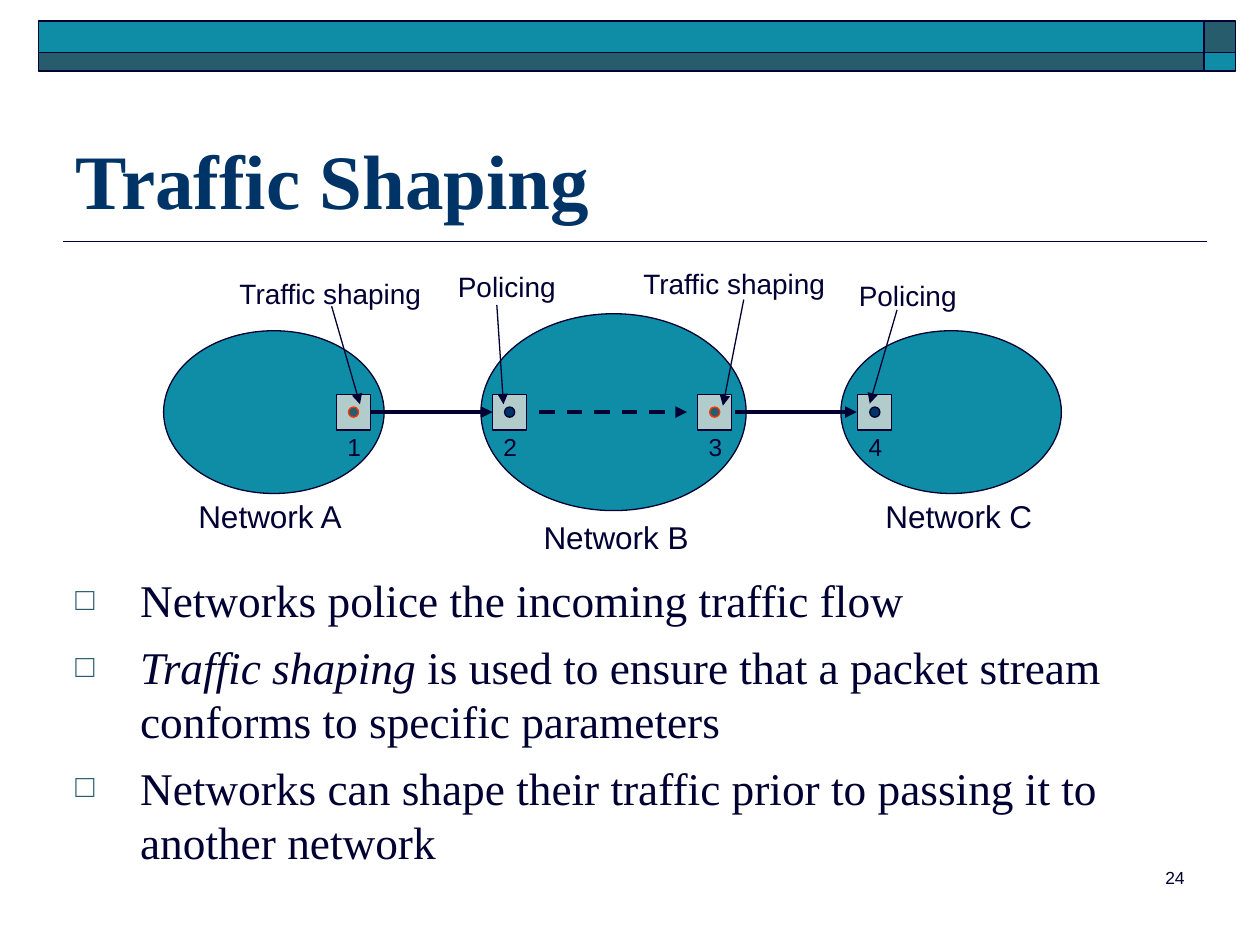
from pptx import Presentation
from pptx.dml.color import RGBColor
from pptx.enum.dml import MSO_LINE
from pptx.enum.shapes import MSO_CONNECTOR, MSO_SHAPE
from pptx.enum.text import MSO_ANCHOR, PP_ALIGN
from pptx.oxml.ns import qn
from pptx.util import Pt
from lxml.etree import SubElement

INK = RGBColor(0x00, 0x00, 0x33)
NAVY = RGBColor(0x00, 0x33, 0x66)
TEAL = RGBColor(0x10, 0x8D, 0xA6)
SLATE = RGBColor(0x27, 0x5C, 0x6D)
MIST = RGBColor(0xB1, 0xCC, 0xCB)
RED = RGBColor(0xFF, 0x33, 0x00)

TITLE_FONT = {"name": "Times New Roman", "size": Pt(44), "bold": True}
BODY_FONT = {"name": "Times New Roman", "size": Pt(25.9)}
LABEL_FONT = {"name": "Arial"}


class SlideBuilder:
    """Draws styled elements on one slide; all lengths are in points."""

    def __init__(self, slide):
        self.shapes = slide.shapes

    def shape(self, kind, left, top, width, height, fill, line=INK, weight=0.75):
        shape = self.shapes.add_shape(kind, Pt(left), Pt(top), Pt(width), Pt(height))
        shape.shadow.inherit = False
        shape.fill.solid()
        shape.fill.fore_color.rgb = fill
        shape.line.color.rgb = line
        shape.line.width = Pt(weight)

    def line(self, start, end, weight=0.75, arrow=True, dash=None):
        line = self.shapes.add_connector(
            MSO_CONNECTOR.STRAIGHT, *(Pt(value) for value in (*start, *end)))
        line.line.color.rgb = INK
        line.line.width = Pt(weight)
        if dash:
            line.line.dash_style = dash
        if arrow:
            SubElement(line.line._get_or_add_ln(), qn("a:tailEnd"), type="triangle")
        SubElement(line._element.spPr, qn("a:effectLst"))

    def frame(self, left, top, width, height, anchor=MSO_ANCHOR.TOP, wrap=True):
        box = self.shapes.add_textbox(Pt(left), Pt(top), Pt(width), Pt(height))
        frame = box.text_frame
        frame.word_wrap = wrap
        frame.vertical_anchor = anchor
        return frame

    def span(self, para, text, style, color=INK):
        span = para.add_run()
        span.text = text
        for name, value in style.items():
            setattr(span.font, name, value)
        span.font.color.rgb = color

    def title(self, text, left, top, width, height):
        frame = self.frame(left, top, width, height, MSO_ANCHOR.BOTTOM)
        self.span(frame.paragraphs[0], text, TITLE_FONT, NAVY)

    def label(self, text, center, top, size, width, height):
        """Puts one unwrapped line of text around a centre."""
        frame = self.frame(center - width / 2, top, width, height,
                           MSO_ANCHOR.MIDDLE, wrap=False)
        para = frame.paragraphs[0]
        para.alignment = PP_ALIGN.CENTER
        self.span(para, text, {**LABEL_FONT, "size": Pt(size)})

    def page_number(self, text, left, top, width, height):
        para = self.frame(left, top, width, height).paragraphs[0]
        para.alignment = PP_ALIGN.RIGHT
        self.span(para, text, {**LABEL_FONT, "size": Pt(10)})

    def bullets(self, items, left, top, width, height):
        """Each item is a list of (text, italic) spans."""
        frame = self.frame(left, top, width, height)
        for index, item in enumerate(items):
            para = frame.add_paragraph() if index else frame.paragraphs[0]
            para.space_before = Pt(7)
            para.line_spacing = Pt(31)
            properties = para._p.get_or_add_pPr()
            properties.set("marL", str(Pt(37)))
            properties.set("indent", str(-Pt(37)))
            color = SubElement(properties, qn("a:buClr"))
            SubElement(color, qn("a:srgbClr"), val=str(SLATE))
            SubElement(properties, qn("a:buSzPct"), val="70000")
            SubElement(properties, qn("a:buFont"), typeface="Arial")
            SubElement(properties, qn("a:buChar"), char="□")
            for text, italic in item:
                self.span(para, text, {**BODY_FONT, "italic": italic})


def draw_banner(builder):
    builder.line((690, 138), (36, 138), weight=1, arrow=False)
    columns = ((22, 666), (688, 18))
    rows = ((12, 18), (30, 10.8))
    for row, (top, height) in enumerate(rows):
        for column, (left, width) in enumerate(columns):
            fill = TEAL if row == column else SLATE
            builder.shape(MSO_SHAPE.RECTANGLE, left, top, width, height, fill, weight=1)


def draw_networks(builder):
    middle = 235.5
    # name, centre, width, height, label centre, label top
    networks = (("Network B", 350.6, 151.5, 112.5, 352.1, 292.3),
                ("Network A", 156.5, 126, 93, 154.3, 280.1),
                ("Network C", 543.5, 126, 93, 547.9, 280.1))
    for name, center, width, height, label_center, label_top in networks:
        builder.shape(MSO_SHAPE.OVAL, center - width / 2, middle - height / 2,
                      width, height, TEAL)
        builder.label(name, label_center, label_top, 18, 110, 29)

    # number, centre, role, role centre, role top, arrow start, arrow end
    routers = (
        ("1", 202, "Traffic shaping", 188.8, 154.4, (189.5, 175), (205.7, 231)),
        ("2", 291.2, "Policing", 289.6, 150.5, (283.9, 174.2), (287.7, 231)),
        ("3", 408.4, "Traffic shaping", 419.6, 148.6, (425, 171.2), (413.1, 231.8)),
        ("4", 499.9, "Policing", 518.7, 155.6, (512.6, 177.1), (497, 230.6)),
    )
    for number, center, role, role_center, role_top, start, end in routers:
        shaping = role == "Traffic shaping"
        builder.shape(MSO_SHAPE.RECTANGLE, center - 9.75, middle - 10.2, 19.5, 20.4, MIST)
        builder.shape(MSO_SHAPE.OVAL, center - 2.9, middle - 2.9, 5.8, 5.8,
                      SLATE if shaping else NAVY, RED if shaping else INK)
        builder.label(role, role_center, role_top, 16, 130 if shaping else 85, 26.6)
        builder.line(start, end)
        builder.label(number, center + 0.4, 243.3, 14, 26, 24.3)

    for start, end, dash in ((211.7, 281.5, None), (308.2, 392.6, MSO_LINE.DASH),
                             (419.8, 489.6, None)):
        builder.line((start, middle), (end, middle), weight=2.25, dash=dash)


def main():
    deck = Presentation()
    deck.slide_width, deck.slide_height = Pt(720), Pt(540)
    builder = SlideBuilder(deck.slides.add_slide(deck.slide_layouts[6]))
    draw_banner(builder)
    draw_networks(builder)
    builder.title("Traffic Shaping", 36, 41.8, 648, 90)
    builder.bullets((
        [("Networks police the incoming traffic flow", False)],
        [("Traffic shaping ", True),
         ("is used to ensure that a packet stream conforms to specific parameters", False)],
        [("Networks can shape their traffic prior to passing it to another network", False)],
    ), 36, 323.6, 648, 186.5)
    builder.page_number("24", 534.2, 491.8, 149.8, 36)
    deck.save("out.pptx")


if __name__ == "__main__":
    main()
